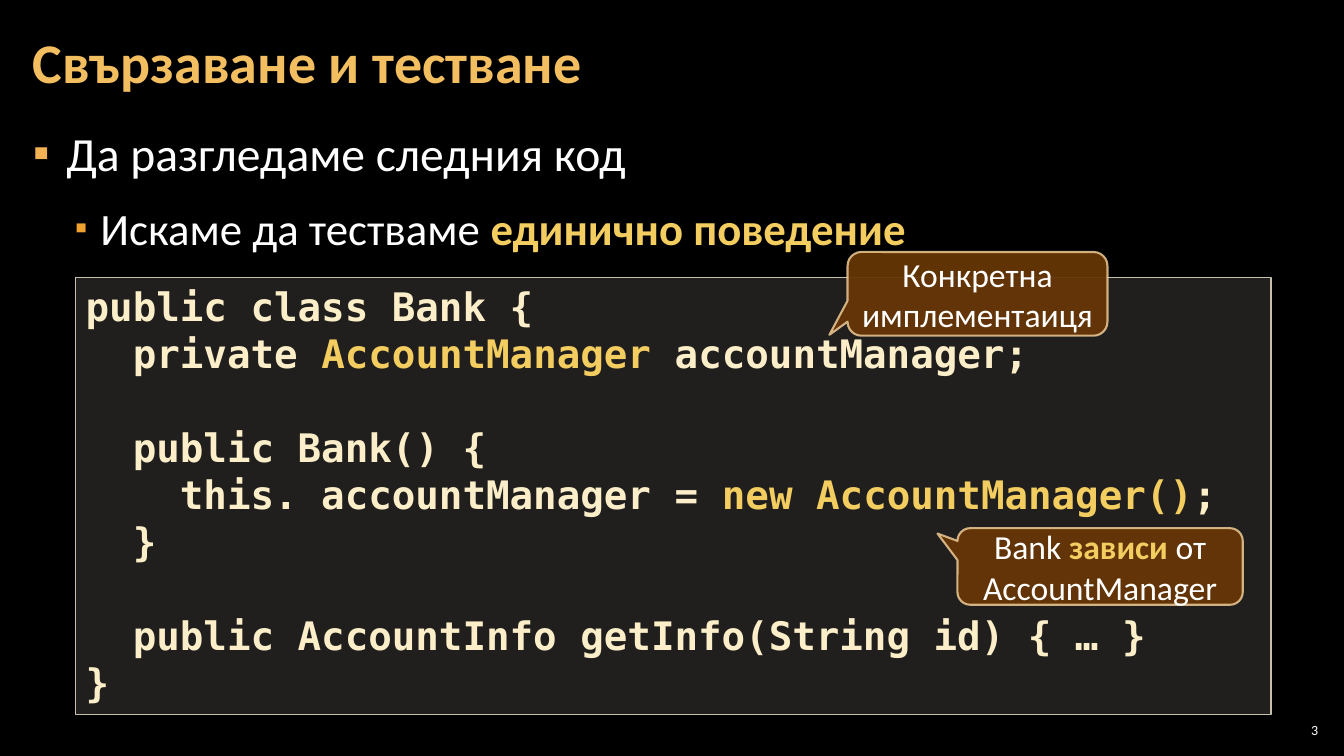
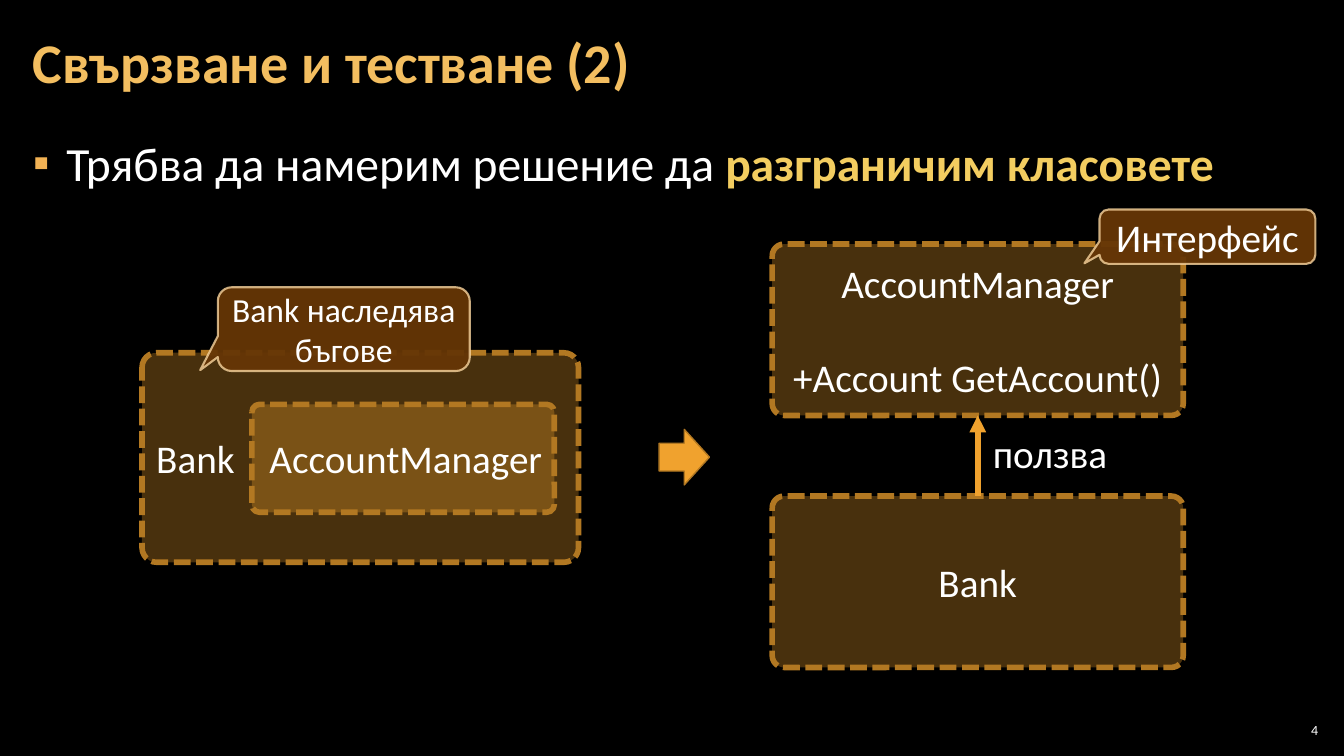
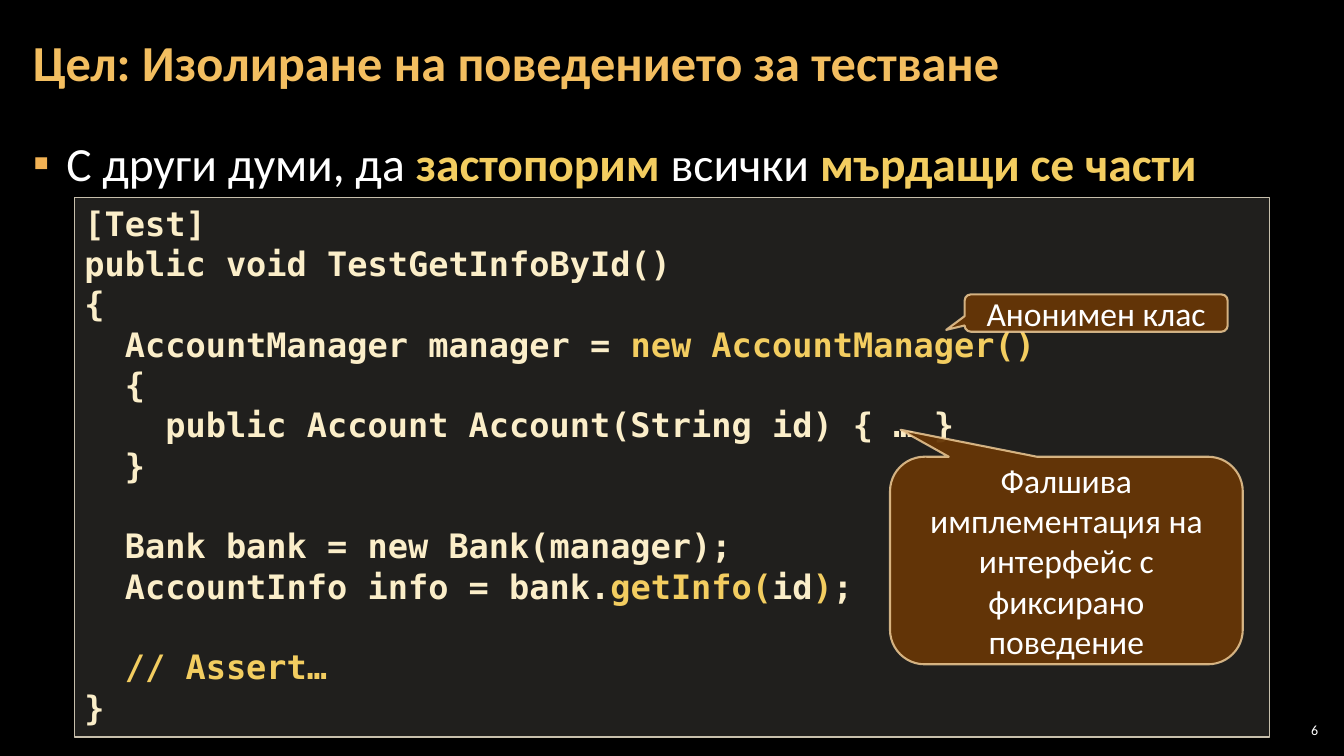
"""Build three slides on coupling and unit testing."""
import pptx
import pptx.util
import pptx.dml.color
import pptx.enum.dml
import pptx.enum.shapes
import pptx.enum.text
import pptx.oxml.ns
from lxml import etree

Cm = pptx.util.Cm
Pt = pptx.util.Pt
qn = pptx.oxml.ns.qn
PRESET = pptx.enum.shapes.MSO_SHAPE
ALIGN = pptx.enum.text.PP_ALIGN
ANCHOR = pptx.enum.text.MSO_ANCHOR

WHITE = "FFFFFF"
GOLD = "F3CD60"
TITLE_GOLD = "F3BE60"
ORANGE = "F0A22E"
DARK_ORANGE = "B27822"
CREAM = "FBEEC9"
LINE_HEIGHT = 1.2


def paint(fill, colour, owner=None, opacity=100, where="./p:spPr"):
    """Apply a solid colour, with optional transparency."""
    fill.solid()
    fill.fore_color.rgb = pptx.dml.color.RGBColor.from_string(colour)
    if opacity < 100:
        tint = owner.element.xpath(where + "/a:solidFill/a:srgbClr")[0]
        etree.SubElement(tint, qn("a:alpha")).set("val", str(opacity * 1000))


def write(frame, text, size, colour=WHITE, face="Calibri", bold=False,
          align=ALIGN.LEFT, anchor=ANCHOR.MIDDLE, spacing=None, wrap=True):
    """Write lines with *emphasis*; an empty line becomes space before the next."""
    frame.auto_size = pptx.enum.text.MSO_AUTO_SIZE.NONE
    frame.word_wrap = wrap
    frame.vertical_anchor = anchor
    gap = 0
    paragraph = None
    for line in text.split("\n"):
        if not line:
            gap += size * LINE_HEIGHT
            continue
        paragraph = frame.add_paragraph() if paragraph else frame.paragraphs[0]
        paragraph.alignment = align
        if spacing:
            paragraph.line_spacing = spacing
        paragraph.space_before = Pt(gap)
        gap = 0
        for position, part in enumerate(line.split("*")):
            if not part:
                continue
            emphasised = position % 2 == 1
            run = paragraph.add_run()
            run.text = part
            run.font.name = face
            run.font.size = Pt(size)
            run.font.bold = bold or emphasised
            paint(run.font.fill, GOLD if emphasised else colour)


deck = pptx.Presentation()
deck.slide_width = Cm(33.87)
deck.slide_height = Cm(19.05)
paint(deck.slide_master.background.fill, "000000")

topics = [
    ("3", "Свързаване и тестване", 40, 2.95,
     "Да разгледаме следния код\nИскаме да тестваме *единично поведение*"),
    ("4", "Свързване и тестване (2)", 40, 3.2,
     "Трябва да намерим решение да *разграничим класовете*"),
    ("6", "Цел: Изолиране на поведението за тестване", 36, 3.2,
     "С други думи, да *застопорим *всички *мърдащи се части*"),
]
bullet_levels = [(34, 0.84, 0.84, "F2B254", 100), (32, 1.7, 0.64, ORANGE, 80)]

for number, heading, heading_size, points_top, points in topics:
    slide = deck.slides.add_slide(deck.slide_layouts[1])
    title = slide.shapes.title
    body = slide.placeholders[1]
    page = slide.shapes.add_textbox(Cm(32.13), Cm(18.14), Cm(1.19), Cm(0.53))
    title.left, title.top, title.width, title.height = Cm(0.53), Cm(0.1), Cm(26.59), Cm(3.07)
    body.left, body.top, body.width, body.height = Cm(0.53), Cm(points_top), Cm(32.79), Cm(15.47)
    for part, side in [(title, 0.3), (body, 0.3), (page, 0.1)]:
        frame = part.text_frame
        frame.margin_left = frame.margin_right = Cm(side)
        frame.margin_top = frame.margin_bottom = Cm(0.1)
    write(title.text_frame, heading, heading_size, TITLE_GOLD, bold=True, spacing=0.9)
    write(page.text_frame, number, 10, align=ALIGN.RIGHT)
    write(body.text_frame, points, 34, anchor=ANCHOR.TOP, spacing=1.05)
    for level, point in enumerate(body.text_frame.paragraphs):
        size, margin, hanging, bullet_colour, bullet_size = bullet_levels[level]
        point.level = level
        point.space_before = Pt(6 if level else 0)
        point.space_after = Pt(6)
        properties = point._p.get_or_add_pPr()
        properties.set("marL", str(Cm(margin)))
        properties.set("indent", str(-Cm(hanging)))
        tint = etree.SubElement(properties, qn("a:buClr"))
        etree.SubElement(tint, qn("a:srgbClr")).set("val", bullet_colour)
        etree.SubElement(properties, qn("a:buSzPct")).set("val", str(bullet_size * 1000))
        etree.SubElement(properties, qn("a:buChar")).set("char", "▪")
        for run in point.runs:
            run.font.size = Pt(size)

coupling, separation, isolation = deck.slides

bank_code = """public class Bank {
  private *AccountManager* accountManager;

  public Bank() {
    this. accountManager = *new AccountManager()*;
  }

  public AccountInfo getInfo(String id) { … }
}"""
test_code = """[Test]
public void TestGetInfoById()
{
  AccountManager manager = *new AccountManager()*
  {
    public Account Account(String id) { … }
  }

  Bank bank = new Bank(manager);
  AccountInfo info = bank.*getInfo(*id*)*;

  *// Assert…*
}"""
listings = [
    (coupling, 1.91, 6.99, 11.02, 28, bank_code),
    (isolation, 1.88, 4.98, 13.59, 24, test_code),
]
for slide, left, top, height, size, code in listings:
    listing = slide.shapes.add_shape(PRESET.RECTANGLE, Cm(left), Cm(top), Cm(30.12), Cm(height))
    listing.shadow.inherit = False
    paint(listing.fill, "D9D5C7", listing, 15)
    paint(listing.line.fill, "C7BFAC")
    listing.line.width = Pt(1)
    write(listing.text_frame, code, size, CREAM, "DejaVu Sans Mono", True,
          anchor=ANCHOR.TOP, spacing=Pt(size * LINE_HEIGHT))

class_boxes = [
    (3.58, 8.89, 11, 5.28, ALIGN.LEFT, "Bank"),
    (6.35, 10.19, 7.62, 2.72, ALIGN.RIGHT, "AccountManager"),
    (19.46, 12.5, 10.36, 4.32, ALIGN.CENTER, "Bank"),
    (19.46, 6.15, 10.36, 4.32, ALIGN.CENTER, "AccountManager\n\n+Account GetAccount()"),
]
for left, top, width, height, align, members in class_boxes:
    class_box = separation.shapes.add_shape(
        PRESET.ROUNDED_RECTANGLE, Cm(left), Cm(top), Cm(width), Cm(height))
    class_box.adjustments[0] = 0.07
    class_box.shadow.inherit = False
    paint(class_box.fill, ORANGE, class_box, 30)
    paint(class_box.line.fill, DARK_ORANGE)
    class_box.line.width = Pt(4)
    class_box.line.dash_style = pptx.enum.dml.MSO_LINE.SQUARE_DOT
    write(class_box.text_frame, members, 28, align=align)

uses = separation.shapes.add_connector(
    pptx.enum.shapes.MSO_CONNECTOR.STRAIGHT, Cm(24.64), Cm(12.5), Cm(24.64), Cm(10.47))
paint(uses.line.fill, ORANGE)
uses.line.width = Pt(4)
etree.SubElement(uses.element.xpath("./p:spPr/a:ln")[0], qn("a:tailEnd")).set("type", "triangle")
etree.SubElement(uses.element.spPr, qn("a:effectLst"))

uses_label = separation.shapes.add_textbox(Cm(24.77), Cm(10.69), Cm(3.43), Cm(1.45))
write(uses_label.text_frame, "ползва", 28, anchor=ANCHOR.TOP, wrap=False)

transition = separation.shapes.add_shape(
    PRESET.RIGHT_ARROW, Cm(16.61), Cm(10.82), Cm(1.27), Cm(1.4))
transition.shadow.inherit = False
paint(transition.fill, ORANGE)
paint(transition.line.fill, DARK_ORANGE)
transition.line.width = Pt(1)

remarks = [
    (coupling, 24.13, 13.31, 7.19, 1.93, -0.57, -0.43, 24, "Bank *зависи *от AccountManager"),
    (coupling, 21.36, 6.35, 6.55, 2.11, -0.57, 0.49, 24, "Конкретна имплементаиця"),
    (separation, 27.71, 5.28, 5.44, 1.37, -0.57, 0.49, 28, "Интерфейс"),
    (separation, 5.49, 7.24, 6.35, 2.11, -0.57, 0.49, 24, "Bank наследява бъгове"),
    (isolation, 22.43, 11.51, 8.89, 5.23, -0.47, -0.63, 24,
     "Фалшива имплементация на интерфейс с фиксирано поведение"),
    (isolation, 24.31, 7.42, 6.63, 0.94, -0.57, 0.45, 24, "Анонимен клас"),
]
for slide, left, top, width, height, tip_x, tip_y, size, words in remarks:
    remark = slide.shapes.add_shape(
        PRESET.ROUNDED_RECTANGULAR_CALLOUT, Cm(left), Cm(top), Cm(width), Cm(height))
    remark.adjustments[0] = tip_x
    remark.adjustments[1] = tip_y
    remark.shadow.inherit = False
    paint(remark.fill, "663606", remark, 95)
    paint(remark.line.fill, "F8D49E", remark, 80, "./p:spPr/a:ln")
    remark.line.width = Pt(1.5)
    write(remark.text_frame, words, size, align=ALIGN.CENTER)

deck.save("out.pptx")
